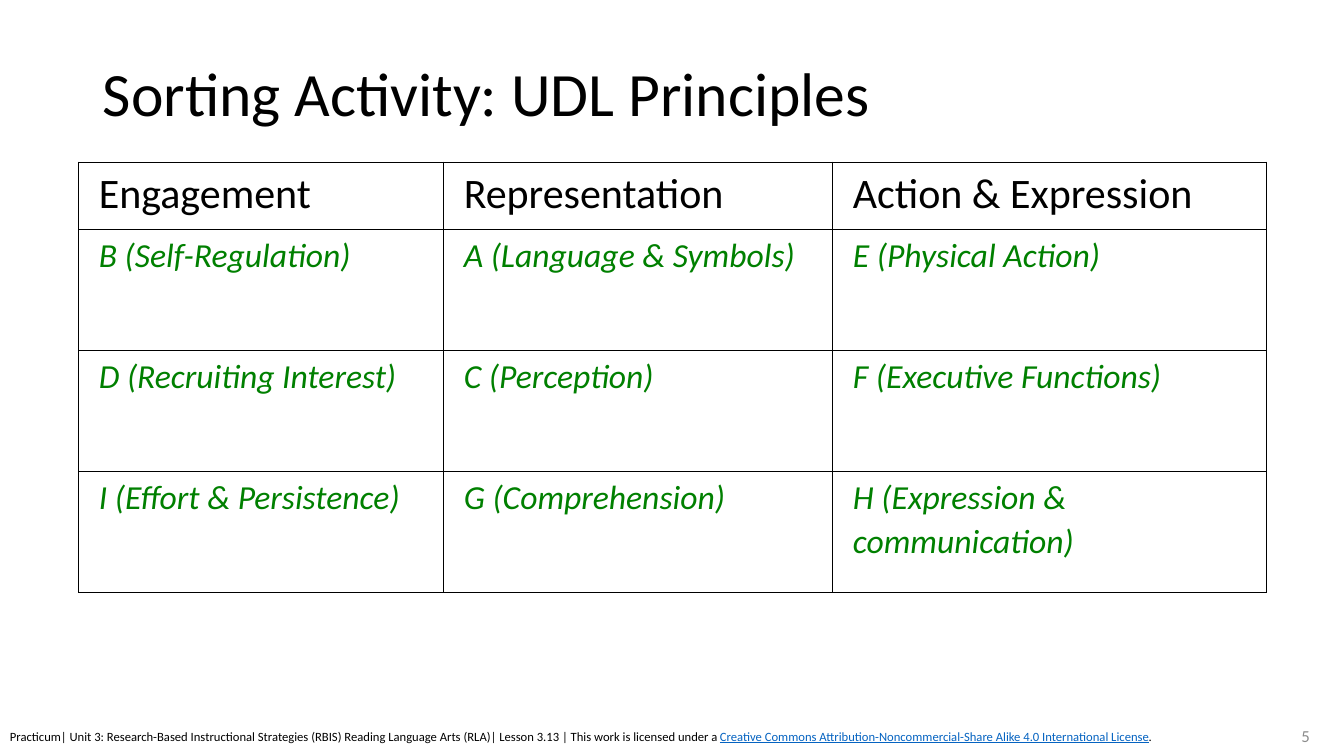
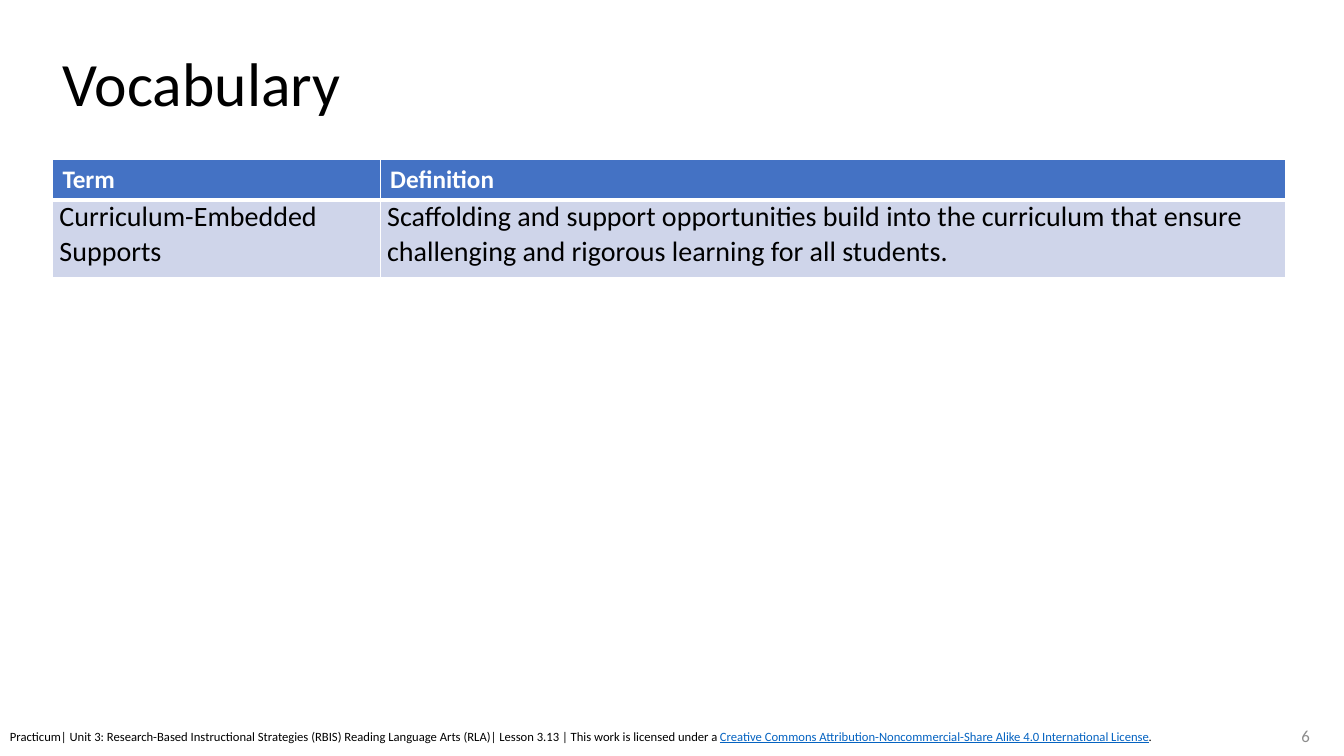
from lxml import etree
from pptx import Presentation
from pptx.dml.color import RGBColor
from pptx.enum.text import MSO_ANCHOR, MSO_AUTO_SIZE, PP_ALIGN
from pptx.oxml.ns import qn
from pptx.util import Inches, Pt

LEFT, RIGHT = PP_ALIGN.LEFT, PP_ALIGN.RIGHT
TOP, MIDDLE, BOTTOM = MSO_ANCHOR.TOP, MSO_ANCHOR.MIDDLE, MSO_ANCHOR.BOTTOM
NO_AUTOFIT = MSO_AUTO_SIZE.NONE

FONT = "Calibri"
BLACK = RGBColor(0x00, 0x00, 0x00)
WHITE = RGBColor(0xFF, 0xFF, 0xFF)
GREEN = RGBColor(0x00, 0x80, 0x00)
GRAY = RGBColor(0x8C, 0x8C, 0x8C)
LINK_BLUE = RGBColor(0x05, 0x63, 0xC1)
HEADER_BLUE = RGBColor(0x44, 0x72, 0xC4)
PALE_BLUE = RGBColor(0xCF, 0xD5, 0xEA)

FOOTER_LEAD = (
    "Practicum| Unit 3: Research-Based Instructional Strategies (RBIS) "
    "Reading Language Arts (RLA)| Lesson 3.13 | This work is licensed under a "
)
FOOTER_LICENSE = (
    "Creative Commons Attribution-Noncommercial-Share Alike 4.0 "
    "International License"
)

SORTING_STYLE = {
    "margins": (0.2, 0.03, 0.2, 0), "line_spacing": 1.07, "space_after": 0,
    "fill": None, "border": BLACK, "widths": {"L": 1, "R": 1, "T": 1, "B": 1},
}
VOCABULARY_STYLE = {
    "line_spacing": 1, "border": WHITE,
}
SLIDES = [
    {
        "title": "Sorting Activity: UDL Principles",
        "title_box": (0.92, 0.32, 11.5, 1.02),
        "title_anchor": BOTTOM,
        "number": 5,
        "table_corner": (0.78, 1.61),
        "columns": (3.62, 3.86, 4.3),
        "row_heights": (0.67, 1.2, 1.2, 1.2),
        "rows": [
            ("Engagement", "Representation", "Action & Expression"),
            ("B (Self-Regulation)", "A (Language & Symbols)",
             "E (Physical Action)"),
            ("D (Recruiting Interest)", "C (Perception)",
             "F (Executive Functions)"),
            ("I (Effort & Persistence)", "G (Comprehension)",
             "H (Expression & communication)"),
        ],
        "header_style": {**SORTING_STYLE, "size": 30, "color": BLACK,
                         "bold": False, "italic": False},
        "body_style": {**SORTING_STYLE, "size": 24, "color": GREEN,
                       "bold": False, "italic": True},
    },
    {
        "title": "Vocabulary",
        "title_box": (0.52, 0.13, 11.5, 1.45),
        "title_anchor": MIDDLE,
        "number": 6,
        "table_corner": (0.52, 1.58),
        "columns": (3.25, 8.98),
        "row_heights": (0.39, 0.77),
        "rows": [
            ("Term", "Definition"),
            ("Curriculum-Embedded Supports",
             "Scaffolding and support opportunities build into the curriculum "
             "that ensure challenging and rigorous learning for all students."),
        ],
        "header_style": {
            **VOCABULARY_STYLE, "margins": (0.1, 0.05, 0.1, 0.05),
            "size": 18, "color": WHITE, "bold": True, "italic": False,
            "space_after": 0, "fill": HEADER_BLUE,
            "widths": {"L": 1, "R": 1, "T": 1, "B": 3},
        },
        "body_style": {
            **VOCABULARY_STYLE, "margins": (0.07, 0, 0.07, 0),
            "size": 20, "color": BLACK, "bold": False, "italic": False,
            "space_after": 6, "fill": PALE_BLUE,
            "widths": {"L": 1, "R": 1, "T": 3, "B": 1},
        },
    },
]


def inches(values):
    return [Inches(value) for value in values]


def set_font(font, size, color):
    font.name = FONT
    font.size = Pt(size)
    font.color.rgb = color


def add_title(slide, text, box, anchor):
    title = slide.shapes.title
    title.left, title.top, title.width, title.height = inches(box)
    frame = title.text_frame
    frame.text = text
    frame.auto_size = NO_AUTOFIT
    frame.vertical_anchor = anchor
    paragraph = frame.paragraphs[0]
    paragraph.alignment = LEFT
    paragraph.line_spacing = 0.9
    set_font(paragraph.font, 44, BLACK)


def set_borders(cell, color, widths):
    properties = cell._tc.get_or_add_tcPr()
    for side, width in widths.items():
        line = etree.SubElement(properties, qn(f"a:ln{side}"), w=str(Pt(width)))
        fill = etree.SubElement(line, qn("a:solidFill"))
        etree.SubElement(fill, qn("a:srgbClr"), val=str(color))


def format_cell(cell, text, style):
    cell.text = text
    (cell.margin_left, cell.margin_top,
     cell.margin_right, cell.margin_bottom) = inches(style["margins"])
    cell.vertical_anchor = TOP
    set_borders(cell, style["border"], style["widths"])
    if style["fill"] is None:
        cell.fill.background()
    else:
        cell.fill.solid()
        cell.fill.fore_color.rgb = style["fill"]
    paragraph = cell.text_frame.paragraphs[0]
    paragraph.line_spacing = style["line_spacing"]
    paragraph.space_after = Pt(style["space_after"])
    set_font(paragraph.font, style["size"], style["color"])
    paragraph.font.bold = style["bold"]
    paragraph.font.italic = style["italic"]


def add_table(slide, content):
    rows, columns = content["rows"], content["columns"]
    heights = content["row_heights"]
    table = slide.shapes.add_table(
        len(rows), len(columns), *inches(content["table_corner"]),
        Inches(sum(columns)), Inches(sum(heights))).table
    table.first_row = False
    table.horz_banding = False
    for column, width in zip(table.columns, columns):
        column.width = Inches(width)
    for index, (row, height, texts) in enumerate(zip(table.rows, heights, rows)):
        row.height = Inches(height)
        style = content["body_style" if index else "header_style"]
        for cell, text in zip(row.cells, texts):
            format_cell(cell, text, style)


def add_text_box(slide, box):
    frame = slide.shapes.add_textbox(*inches(box)).text_frame
    frame.word_wrap = True
    return frame


def add_footer(slide, number):
    frame = add_text_box(slide, (10.09, 7.1, 3, 0.4))
    frame.vertical_anchor = MIDDLE
    frame.text = str(number)
    paragraph = frame.paragraphs[0]
    paragraph.alignment = RIGHT
    set_font(paragraph.font, 12, GRAY)

    paragraph = add_text_box(slide, (0, 7.18, 11.74, 0.25)).paragraphs[0]
    for text, color, underline in (
        (FOOTER_LEAD, BLACK, False),
        (FOOTER_LICENSE, LINK_BLUE, True),
        (".", BLACK, False),
    ):
        run = paragraph.add_run()
        run.text = text
        set_font(run.font, 9, color)
        run.font.underline = underline


def main():
    presentation = Presentation()
    presentation.slide_width = Inches(13.33)
    presentation.slide_height = Inches(7.5)
    title_only = presentation.slide_layouts.get_by_name("Title Only")
    for content in SLIDES:
        slide = presentation.slides.add_slide(title_only)
        add_title(slide, content["title"], content["title_box"],
                  content["title_anchor"])
        add_table(slide, content)
        add_footer(slide, content["number"])
    presentation.save("out.pptx")


if __name__ == "__main__":
    main()
